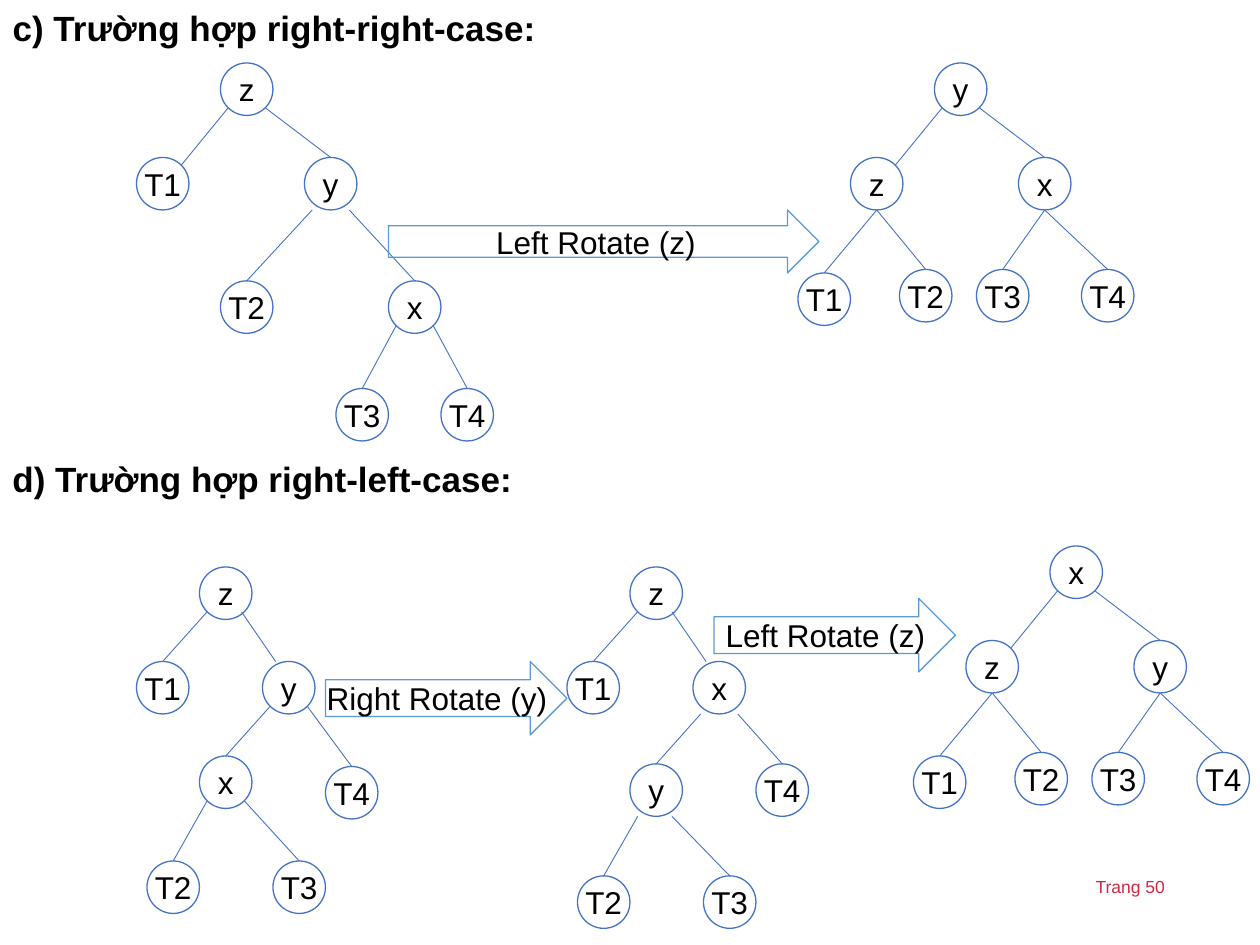
from lxml import etree
from pptx import Presentation
from pptx.dml.color import RGBColor
from pptx.enum.shapes import MSO_CONNECTOR, MSO_SHAPE
from pptx.enum.text import MSO_ANCHOR, PP_ALIGN
from pptx.oxml.ns import qn
from pptx.util import Pt

OVAL, ARROW = MSO_SHAPE.OVAL, MSO_SHAPE.RIGHT_ARROW
STRAIGHT = MSO_CONNECTOR.STRAIGHT
TOP_ANCHOR, MIDDLE = MSO_ANCHOR.TOP, MSO_ANCHOR.MIDDLE
LEFT, CENTER, JUSTIFY = PP_ALIGN.LEFT, PP_ALIGN.CENTER, PP_ALIGN.JUSTIFY

FONT = "Arial"
BLACK = RGBColor(0x00, 0x00, 0x00)
NODE_BLUE = RGBColor(0x44, 0x72, 0xC4)
ARROW_BLUE = RGBColor(0x5B, 0x9B, 0xD5)
PAGE_RED = RGBColor(0xCF, 0x29, 0x41)

# Places where an edge meets a node, from the node's top left corner
NODE = 30
TOP, BOTTOM = (15, 0), (15, 30)
TOP_LEFT, NE = (7.5, 0), (25.6, 4.4)
SW, SE, SE_INNER = (4.4, 25.6), (25.6, 25.6), (24, 25.6)
LOW_LEFT, LOW_RIGHT, LOW_INNER = (4.4, 30), (25.6, 30), (24, 30)

# Nodes: label -> offset from the root. Edges: parent, child, start, end.
RIGHT_RIGHT = (
    {"z": (0, 0), "T1": (-48, 54), "y": (48, 54), "T2": (0, 124.5),
     "x": (96, 124.5), "T3": (66, 186), "T4": (126, 186)},
    [("z", "T1", SW, NE), ("z", "y", SE, TOP),
     ("y", "T2", LOW_LEFT, TOP), ("y", "x", LOW_RIGHT, TOP),
     ("x", "T3", SW, TOP), ("x", "T4", SE, TOP)],
)
RIGHT_LEFT = (
    {"z": (0, 0), "T1": (-36, 54), "y": (36, 54), "x": (0, 108),
     "T4": (72, 114), "T2": (-30, 168), "T3": (42, 168)},
    [("z", "T1", SW, TOP), ("z", "y", SE_INNER, TOP_LEFT),
     ("y", "x", SW, TOP), ("y", "T4", SE, TOP),
     ("x", "T2", SW, TOP), ("x", "T3", SE, TOP)],
)
RIGHT_ROTATED = (
    {"z": (0, 0), "T1": (-36, 54), "x": (36, 54), "y": (0, 112.5),
     "T4": (72, 112.5), "T2": (-30, 176.5), "T3": (42, 176.5)},
    [("z", "T1", SW, TOP), ("z", "x", SE_INNER, TOP_LEFT),
     ("x", "y", LOW_LEFT, TOP), ("x", "T4", LOW_RIGHT, TOP),
     ("y", "T2", LOW_LEFT, TOP), ("y", "T3", LOW_INNER, TOP)],
)


def balanced_tree(root, left, right):
    nodes = {root: (0, 0), left: (-48, 54), right: (48, 54), "T1": (-78, 120),
             "T2": (-20, 118), "T3": (24, 118), "T4": (84, 118)}
    edges = [(root, left, SW, NE), (root, right, SE, TOP),
             (left, "T1", BOTTOM, TOP), (left, "T2", BOTTOM, TOP),
             (right, "T3", BOTTOM, TOP), (right, "T4", BOTTOM, TOP)]
    return nodes, edges


def write(tf, text, size, align, color=BLACK, bold=False):
    p = tf.paragraphs[0]
    p.text = text
    p.alignment = align
    p.font.name = FONT
    p.font.size = Pt(size)
    p.font.bold = bold
    p.font.color.rgb = color
    return p


def add_outlined(s, kind, box, color, text):
    sp = s.shapes.add_shape(kind, *map(Pt, box))
    sp.shadow.inherit = False
    sp.fill.background()
    sp.line.color.rgb = color
    sp.line.width = Pt(0.75)
    tf = sp.text_frame
    tf.word_wrap = False
    tf.vertical_anchor = MIDDLE
    write(tf, text, 18, CENTER)


def add_edge(s, x1, y1, x2, y2):
    line = s.shapes.add_connector(STRAIGHT, Pt(x1), Pt(y1), Pt(x2), Pt(y2))
    line.line.color.rgb = NODE_BLUE
    line.line.width = Pt(0.5)
    etree.SubElement(line._element.spPr, qn("a:effectLst"))


def add_tree(s, x, y, tree):
    """Draw a tree whose root node has its top left corner at x, y."""
    nodes, edges = tree
    corners = {label: (x + dx, y + dy) for label, (dx, dy) in nodes.items()}
    for label, (left, top) in corners.items():
        add_outlined(s, OVAL, (left, top, NODE, NODE), NODE_BLUE, label)
    for parent, child, start, end in edges:
        (px, py), (cx, cy) = corners[parent], corners[child]
        add_edge(s, px + start[0], py + start[1], cx + end[0], cy + end[1])


def format_heading(sp, top, text):
    sp.left, sp.top, sp.width, sp.height = Pt(0), Pt(top), Pt(702), Pt(31.5)
    tf = sp.text_frame
    tf.word_wrap = True
    tf.vertical_anchor = TOP_ANCHOR
    write(tf, text, 20, JUSTIFY, bold=True).space_before = Pt(3.7)


def add_text_box(s, *box):
    return s.shapes.add_textbox(*map(Pt, box))


def main():
    prs = Presentation()
    prs.slide_width, prs.slide_height = Pt(720), Pt(540)
    s = prs.slides.add_slide(prs.slide_layouts[5])

    format_heading(s.shapes.title, 0, "c) Trường hợp right-right-case:")
    add_tree(s, 126, 36, RIGHT_RIGHT)
    add_tree(s, 534, 36, balanced_tree("y", "z", "x"))
    add_outlined(s, ARROW, (222, 120, 246, 36), ARROW_BLUE, "Left Rotate (z)")

    format_heading(add_text_box(s, 0, 258, 702, 31.5), 258,
                   "d) Trường hợp right-left-case:")
    add_tree(s, 114, 324, RIGHT_LEFT)
    add_tree(s, 360, 324, RIGHT_ROTATED)
    add_tree(s, 600, 312, balanced_tree("x", "z", "y"))
    add_outlined(s, ARROW, (186, 378, 138, 42), ARROW_BLUE, "Right Rotate (y)")
    add_outlined(s, ARROW, (408, 342, 138, 42), ARROW_BLUE, "Left Rotate (z)")

    page = add_text_box(s, 619, 497, 87, 19.5)
    page.text_frame.word_wrap = True
    write(page.text_frame, "Trang 50", 10, LEFT, PAGE_RED)

    prs.save("out.pptx")


if __name__ == "__main__":
    main()
